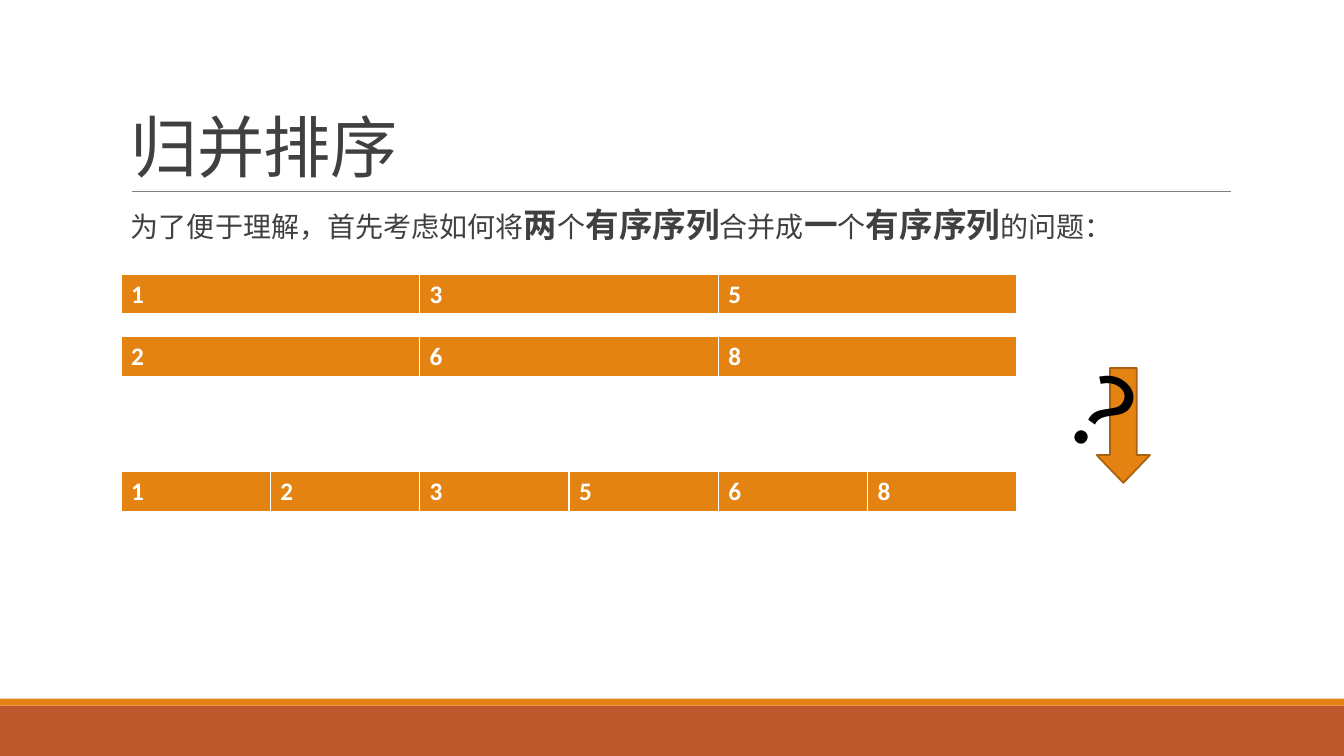
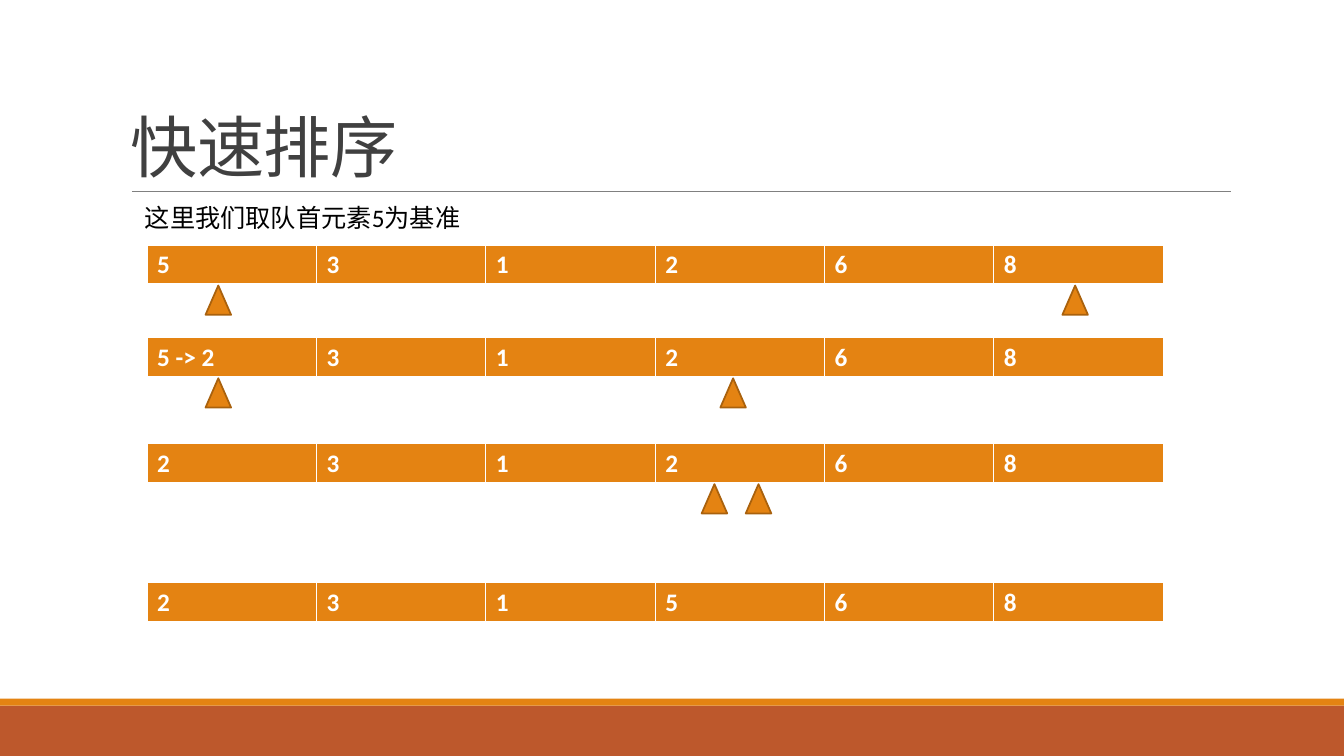
from dataclasses import dataclass

from lxml import etree
from pptx import Presentation
from pptx import util as u
from pptx.dml import color
from pptx.enum import shapes, text
from pptx.oxml import ns


@dataclass(frozen=True)
class Theme:
    font: str = "Calibri"
    accent: str = "E48312"
    outline: str = "A9610D"
    band: str = "BD582C"
    rule: str = "808080"
    ink: str = "404040"
    black: str = "000000"
    white: str = "FFFFFF"
    title: float = 48
    body: float = 20
    strong: float = 24
    label: float = 18
    mark: float = 72


def rgb(value):
    return color.RGBColor.from_string(value)


def assign(obj, values):
    for name, value in values.items():
        setattr(obj, name, value)


class Deck:
    """Holds the theme and the current slide; lengths are percent of the slide."""

    CELL_EDGES = {"a:lnL": 1, "a:lnR": 1, "a:lnT": 1, "a:lnB": 3}

    def __init__(self, theme):
        self.theme = theme
        self.prs = Presentation()
        assign(self.prs, {"slide_width": u.Inches(13.33), "slide_height": u.Inches(7.5)})
        self.slide = None

    def x(self, share):
        return round(self.prs.slide_width * share / 100)

    def y(self, share):
        return round(self.prs.slide_height * share / 100)

    def box(self, left, top, width, height):
        return self.x(left), self.y(top), self.x(width), self.y(height)

    def new_slide(self, title):
        t = self.theme
        self.slide = self.prs.slides.add_slide(self.prs.slide_layouts[6])
        self.shape(shapes.MSO_SHAPE.RECTANGLE, (0, 93.33, 100, 6.67), t.band)
        self.shape(shapes.MSO_SHAPE.RECTANGLE, (0, 92.4, 100, 0.93), t.accent)
        self.rule(9.82, 91.58, 25.33)
        frame = {"vertical_anchor": text.MSO_ANCHOR.BOTTOM}
        tf = self.text((9, 4.13, 82.5, 21.2), [(title, t.title, False)], t.ink,
                       frame, {"line_spacing": 0.85}).text_frame
        tf.paragraphs[0].runs[0]._r.get_or_add_rPr().set("spc", "-50")

    def rule(self, left, right, top):
        line = self.slide.shapes.add_connector(
            shapes.MSO_CONNECTOR.STRAIGHT, self.x(left), self.y(top), self.x(right), self.y(top))
        line.line.color.rgb = rgb(self.theme.rule)
        line.line.width = u.Pt(0.5)
        etree.SubElement(line._element.spPr, ns.qn("a:effectLst"))

    def shape(self, kind, box, fill, outline=None):
        sp = self.slide.shapes.add_shape(kind, *self.box(*box))
        sp.shadow.inherit = False
        sp.fill.solid()
        sp.fill.fore_color.rgb = rgb(fill)
        if outline:
            sp.line.color.rgb = rgb(outline)
            sp.line.width = u.Pt(1.25)
        else:
            sp.line.fill.background()
        return sp

    def run(self, p, words, size, ink, bold=False):
        r = p.add_run()
        r.text = words
        assign(r.font, {"name": self.theme.font, "size": u.Pt(size), "bold": bold})
        r.font.color.rgb = rgb(ink)

    def text(self, box, runs, ink, frame=None, para=None):
        """Add a text box from runs of (words, size, bold)."""
        sp = self.slide.shapes.add_textbox(*self.box(*box))
        tf = sp.text_frame
        assign(tf, {"word_wrap": True, **(frame or {})})
        p = tf.paragraphs[0]
        assign(p, para or {})
        for words, size, bold in runs:
            self.run(p, words, size, ink, bold)
        return sp

    def array(self, box, values):
        """Add a one-row table that shows a sequence."""
        t = self.theme
        table = self.slide.shapes.add_table(1, len(values), *self.box(*box)).table
        assign(table, {"first_row": False, "horz_banding": False})
        for cell, value in zip(table.rows[0].cells, values):
            self.edges(cell)
            cell.fill.solid()
            cell.fill.fore_color.rgb = rgb(t.accent)
            self.run(cell.text_frame.paragraphs[0], value, t.label, t.white, True)

    def edges(self, cell):
        tc_pr = cell._tc.get_or_add_tcPr()
        for tag, points in self.CELL_EDGES.items():
            ln = etree.SubElement(tc_pr, ns.qn(tag), w=str(u.Pt(points)))
            fill = etree.SubElement(ln, ns.qn("a:solidFill"))
            etree.SubElement(fill, ns.qn("a:srgbClr"), val=self.theme.white)

    def pointers(self, box, columns, positions):
        """Add triangles under an array, centred at positions counted in columns."""
        left, top, width, height = box
        w, h, gap = 1.9, 3.87, 0.3
        for position in positions:
            centre = left + position * width / columns
            self.shape(shapes.MSO_SHAPE.ISOSCELES_TRIANGLE,
                       (centre - w / 2, top + height + gap, w, h),
                       self.theme.accent, self.theme.outline)


def merge_sort(deck):
    t = deck.theme
    deck.new_slide("归并排序")
    phrases = ["为了便于理解，首先考虑如何将", "两", "个", "有序序列", "合并成",
               "一", "个", "有序序列", "的问题："]
    runs = [(words, t.strong if i % 2 else t.body, i % 2 == 1)
            for i, words in enumerate(phrases)]
    deck.text((9, 26.93, 82.5, 58.67), runs, t.ink, {"margin_right": 0},
              {"line_spacing": 0.9, "space_before": u.Pt(12), "space_after": u.Pt(2)})
    for top, values in ((36.27, "135"), (44.53, "268"), (62.4, "123568")):
        deck.array((9, top, 66.67, 5.42), values)
    arrow = deck.shape(shapes.MSO_SHAPE.DOWN_ARROW, (81.6, 48.67, 3.97, 15.2),
                       t.accent, t.outline)
    arrow.adjustments[1] = 0.52
    mark = deck.text((79.05, 47.6, 9.08, 17.47), [("？", t.mark, False)], t.black,
                     {"word_wrap": False, "auto_size": text.MSO_AUTO_SIZE.SHAPE_TO_FIT_TEXT})
    mark.rotation = 35.8


def quick_sort(deck):
    t = deck.theme
    deck.new_slide("快速排序")
    deck.text((10.05, 26.13, 28.43, 5.33), [("这里我们取队首元素5为基准", t.label, False)],
              t.black, {"auto_size": text.MSO_AUTO_SIZE.SHAPE_TO_FIT_TEXT})
    steps = [
        (32.4, ["5", *"31268"], (0.42, 5.48)),
        (44.67, ["5 -> 2", *"31268"], (0.42, 3.46)),
        (58.67, [*"231268"], (3.35, 3.61)),
        (77.07, [*"231568"], ()),
    ]
    for top, values, positions in steps:
        box = (10.95, top, 75.6, 5.07)
        deck.array(box, values)
        deck.pointers(box, len(values), positions)


def main():
    deck = Deck(Theme())
    merge_sort(deck)
    quick_sort(deck)
    deck.prs.save("out.pptx")


if __name__ == "__main__":
    main()
